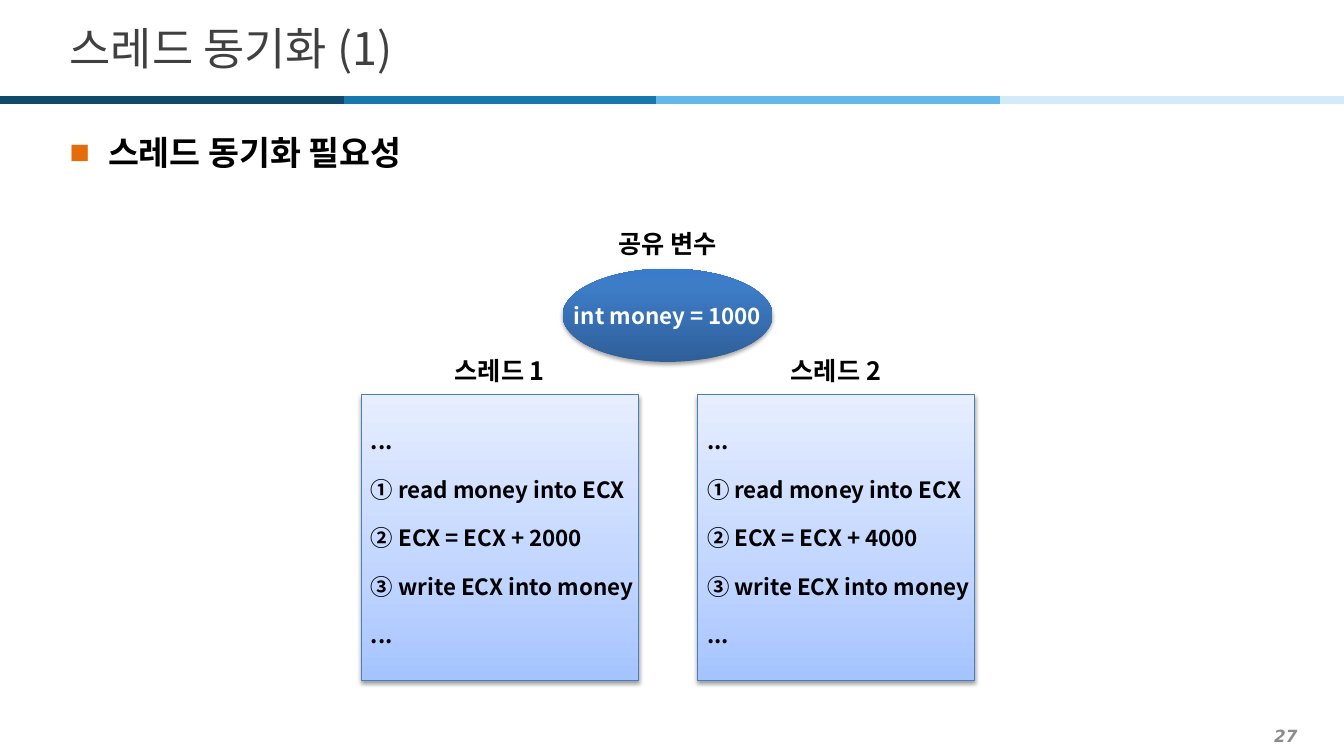
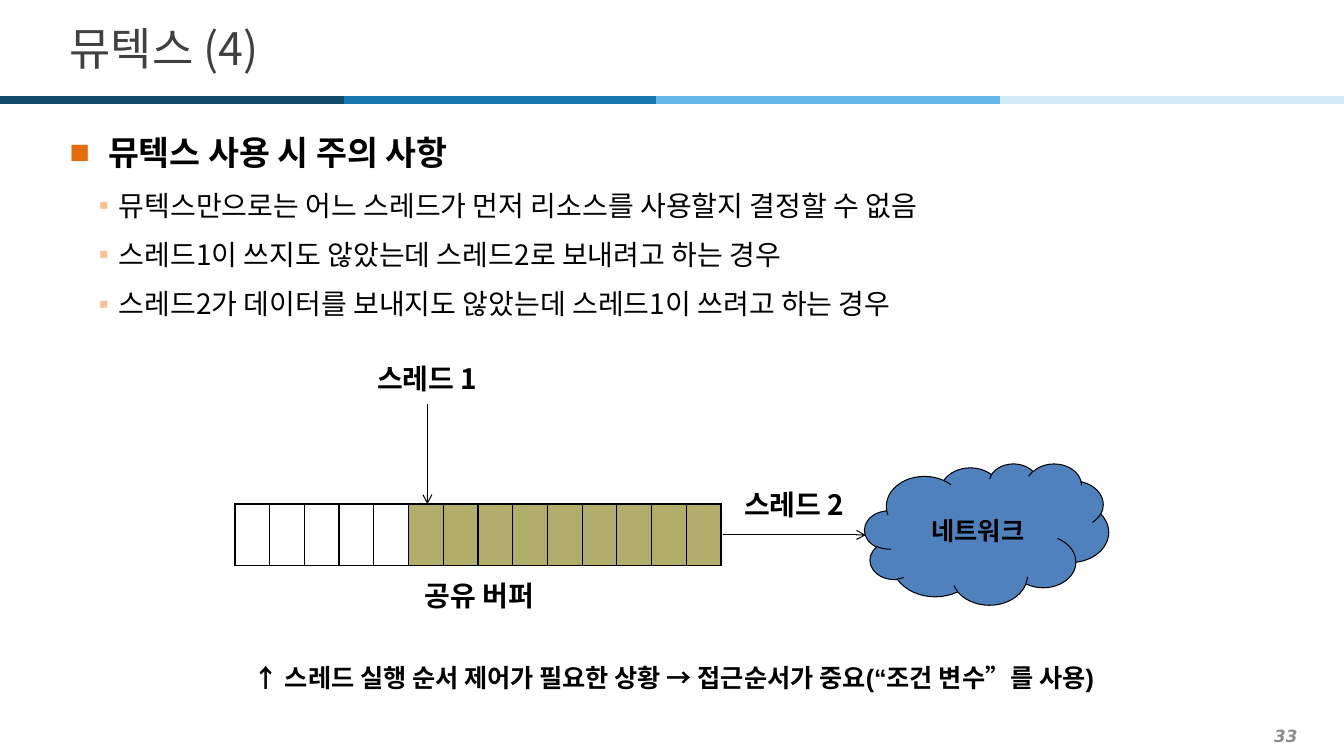
from dataclasses import dataclass
from typing import Any

import pptx
import pptx.dml.color
import pptx.enum.dml
import pptx.enum.shapes
import pptx.enum.text
import pptx.oxml
import pptx.oxml.ns
import pptx.util
from lxml import etree

Cm, Pt = pptx.util.Cm, pptx.util.Pt
Align, Anchor = pptx.enum.text.PP_ALIGN, pptx.enum.text.MSO_ANCHOR
Kind = pptx.enum.shapes.MSO_SHAPE
qn = pptx.oxml.ns.qn


# Theme and records
@dataclass(frozen=True)
class Theme:
    sans: str = "Noto Sans CJK KR"
    latin: str = "Arial"
    foot: str = "DejaVu Sans"
    black: str = "000000"
    white: str = "FFFFFF"
    title: str = "404040"
    grey: str = "8C8C8C"
    cloud: str = "4F81BD"
    edge: str = "4B7EBC"
    full: str = "B1AE6B"
    bands: tuple = ((7.87, "1877AC"), (16.53, "61B8E9"),
                    (25.2, "D3EBF9"), (0, "0F4A6B"))
    oval: tuple = ((0, "2F5F99"), (80, "3D7CC7"), (100, "3A7CCB"))
    panel: tuple = ((0, "A4C4FF"), (35, "BFD4FF"), (100, "E6EEFF"))
    huge: int = 32
    head: int = 24
    item: int = 20
    label: int = 18
    code: int = 16
    page: int = 12


T = Theme()


@dataclass(frozen=True)
class Box:
    x: float
    y: float
    w: float
    h: float

    def cm(self) -> tuple:
        return Cm(self.x), Cm(self.y), Cm(self.w), Cm(self.h)


@dataclass(frozen=True)
class Face:
    size: int
    bold: bool = True
    color: str = T.black
    font: str = T.sans
    slant: bool = False


@dataclass(frozen=True)
class Level:
    face: Face
    mark: str
    tint: str
    left: float
    hang: float
    line: float
    before: int


@dataclass(frozen=True)
class Thread:
    x: float
    name: str
    sum: int


LEVELS = (
    Level(Face(T.head, font=T.latin), "■", "E46C0A", 0.97, 0.97, 1.2, 0),
    Level(Face(T.item, False), "▪", "FAC090", 1.24, 0.5, 1.3, 2),
)


# Helpers
def rgb(code: str) -> Any:
    return pptx.dml.color.RGBColor.from_string(code)


def node(xml: str) -> Any:
    space = 'xmlns:a="http://schemas.openxmlformats.org/drawingml/2006/main"'
    return pptx.oxml.parse_xml(xml.replace(" ", f" {space} ", 1))


def add_run(para: Any, text: str, face: Face) -> None:
    run = para.add_run()
    run.text = text
    font = run.font
    font.size, font.bold, font.italic = Pt(face.size), face.bold, face.slant
    font.color.rgb = rgb(face.color)
    font.name = face.font
    etree.SubElement(font._element, qn("a:ea")).set("typeface", T.sans)


def set_text(shape: Any, text: str, face: Face, align: Any = Align.CENTER,
             wrap: bool = False) -> None:
    frame = shape.text_frame
    frame.word_wrap = wrap
    frame.vertical_anchor = Anchor.MIDDLE
    para = frame.paragraphs[0]
    para.alignment = align
    add_run(para, text, face)


def add_label(slide: Any, box: Box, text: str, face: Face,
              align: Any = Align.CENTER) -> None:
    set_text(slide.shapes.add_textbox(*box.cm()), text, face, align)


def add_line(slide: Any, start: tuple, end: tuple, color: str,
             width: float, arrow: bool = False) -> None:
    straight = pptx.enum.shapes.MSO_CONNECTOR.STRAIGHT
    line = slide.shapes.add_connector(
        straight, *(Cm(v) for v in (*start, *end)))
    line.line.color.rgb = rgb(color)
    line.line.width = Pt(width)
    props = line._element.spPr
    if arrow:
        props.find(qn("a:ln")).append(node('<a:tailEnd type="arrow"/>'))
    etree.SubElement(props, qn("a:effectLst"))


def add_form(slide: Any, kind: Any, box: Box, edge: str = "") -> Any:
    shape = slide.shapes.add_shape(kind, *box.cm())
    shape.shadow.inherit = False
    if edge:
        shape.line.color.rgb = rgb(edge)
        shape.line.width = Pt(0.75)
    else:
        shape.line.fill.background()
    return shape


def shade(shape: Any, stops: tuple, alpha: int, dist: int) -> None:
    """Give a shape an upward gradient and a soft shadow below."""
    shape.fill.gradient()
    shape.fill.gradient_angle = 90
    props = shape._element.spPr
    ramp = props.find(qn("a:gradFill")).find(qn("a:gsLst"))
    for old in list(ramp):
        ramp.remove(old)
    for pos, color in stops:
        ramp.append(node(f'<a:gs pos="{pos * 1000}">'
                         f'<a:srgbClr val="{color}"/></a:gs>'))
    props.find(qn("a:effectLst")).append(node(
        f'<a:outerShdw blurRad="39000" dist="{dist}" dir="5400000" '
        f'rotWithShape="0"><a:srgbClr val="{T.black}">'
        f'<a:alpha val="{alpha * 1000}"/></a:srgbClr></a:outerShdw>'))


def add_item(para: Any, text: str, depth: int) -> None:
    level = LEVELS[depth]
    para.level = depth
    para.alignment = Align.LEFT
    para.line_spacing = level.line
    para.space_before, para.space_after = Pt(level.before), Pt(2)
    props = para._p.get_or_add_pPr()
    props.set("marL", str(Cm(level.left)))
    props.set("indent", str(-Cm(level.hang)))
    props.append(node(f'<a:buClr ><a:srgbClr val="{level.tint}"/></a:buClr>'))
    props.append(node(f'<a:buFont typeface="{T.latin}"/>'))
    props.append(node(f'<a:buChar char="{level.mark}"/>'))
    add_run(para, text, level.face)


# Shared frame
def set_layout(layout: Any) -> None:
    spots = (Box(1.5, 0.33, 31.01, 1.73), Box(1.5, 3, 31.01, 15.32))
    for holder, box in zip(layout.placeholders, spots):
        holder.left, holder.top, holder.width, holder.height = box.cm()


def add_slide(deck: Any, title: str, page: int, items: tuple) -> Any:
    slide = deck.slides.add_slide(deck.slide_layouts[1])
    add_label(slide, Box(0.51, 18.14, 32.44, 0.79), str(page),
              Face(T.page, True, T.grey, T.foot, True), Align.RIGHT)
    for x, color in T.bands:
        add_line(slide, (x, 2.52), (x + 8.66, 2.52), color, 6)
    none = pptx.enum.text.MSO_AUTO_SIZE.NONE
    head, body = slide.shapes.title, slide.placeholders[1]
    set_text(head, title, Face(T.huge, False, T.title), Align.LEFT, True)
    head.text_frame.auto_size = none
    frame = body.text_frame
    frame.auto_size = none
    for i, text in enumerate(items):
        para = frame.add_paragraph() if i else frame.paragraphs[0]
        add_item(para, text, min(i, 1))
    return slide


# Thread panels
def add_thread(slide: Any, thread: Thread) -> None:
    add_label(slide, Box(thread.x, 8.69, 6.99, 1.27), thread.name,
              Face(T.label))
    panel = add_form(slide, Kind.RECTANGLE, Box(thread.x, 9.95, 6.99, 7.2),
                     T.edge)
    shade(panel, T.panel, 38, 20000)
    frame = panel.text_frame
    frame.word_wrap = False
    frame.vertical_anchor = Anchor.MIDDLE
    steps = ("...", "① read money into ECX", f"② ECX = ECX + {thread.sum}",
             "③ write ECX into money", "...")
    for i, step in enumerate(steps):
        para = frame.add_paragraph() if i else frame.paragraphs[0]
        para.alignment = Align.LEFT
        para.space_before = Pt(15.4 if i else 0)
        add_run(para, step, Face(T.code))


def draw_sync(deck: Any) -> None:
    slide = add_slide(deck, "스레드 동기화 (1)", 27, ("스레드 동기화 필요성",))
    oval = add_form(slide, Kind.OVAL, Box(14.18, 6.77, 5.29, 2.35))
    shade(oval, T.oval, 35, 23000)
    set_text(oval, "int money = 1000", Face(T.code, color=T.white))
    add_label(slide, Box(13.12, 5.5, 7.41, 1.27), "공유 변수", Face(T.label))
    for thread in (Thread(9.1, "스레드 1", 2000),
                   Thread(17.57, "스레드 2", 4000)):
        add_thread(slide, thread)


# Shared buffer
def add_buffer(slide: Any, box: Box, count: int, free: int) -> None:
    grid = slide.shapes.add_table(1, count, *box.cm()).table
    grid.first_row = grid.horz_banding = False
    for i, col in enumerate(grid.columns):
        col.width = Cm(box.w / count)
        cell = grid.cell(0, i)
        if i < free:
            cell.fill.background()
        else:
            cell.fill.solid()
            cell.fill.fore_color.rgb = rgb(T.full)
        props = cell._tc.get_or_add_tcPr()
        for n, side in enumerate("LRTB"):
            props.insert(n, node(
                f'<a:ln{side} w="12700"><a:solidFill><a:srgbClr '
                f'val="{T.black}"/></a:solidFill></a:ln{side}>'))


def draw_mutex(deck: Any) -> None:
    slide = add_slide(deck, "뮤텍스 (4)", 33, (
        "뮤텍스 사용 시 주의 사항",
        "뮤텍스만으로는 어느 스레드가 먼저 리소스를 사용할지 결정할 수 없음",
        "스레드1이 쓰지도 않았는데 스레드2로 보내려고 하는 경우",
        "스레드2가 데이터를 보내지도 않았는데 스레드1이 쓰려고 하는 경우"))
    add_buffer(slide, Box(5.92, 12.7, 12.26, 1.55), 14, 5)
    for box, text in ((Box(9.73, 14.35, 4.72, 1.3), "공유 버퍼"),
                      (Box(8.41, 8.89, 4.72, 1.3), "스레드 1"),
                      (Box(18.21, 12.07, 3.61, 1.3), "스레드 2")):
        add_label(slide, box, text, Face(T.item))
    for start, end in (((10.77, 10.19), (10.77, 12.7)),
                       ((18.21, 13.48), (21.82, 13.48))):
        add_line(slide, start, end, T.black, 0.75, True)
    cloud = add_form(slide, Kind.CLOUD, Box(21.79, 11.68, 6.15, 3.56), T.black)
    cloud.fill.solid()
    cloud.fill.fore_color.rgb = rgb(T.cloud)
    set_text(cloud, "네트워크", Face(T.label), wrap=True)
    # Closing note
    note = slide.shapes.add_textbox(*Box(6.15, 16.56, 24.13, 0.97).cm())
    note.text_frame.word_wrap = True
    para = note.text_frame.paragraphs[0]
    add_run(para, "↑ ", Face(T.label))
    add_run(para, "스레드 실행 순서 제어가 필요한 상황 → 접근순서가 중요"
            "(“조건 변수”를 사용)", Face(T.label, font=T.latin))


def main() -> None:
    deck = pptx.Presentation()
    deck.slide_width, deck.slide_height = Cm(33.87), Cm(19.05)
    set_layout(deck.slide_layouts[1])
    draw_sync(deck)
    draw_mutex(deck)
    deck.save("out.pptx")


if __name__ == "__main__":
    main()
